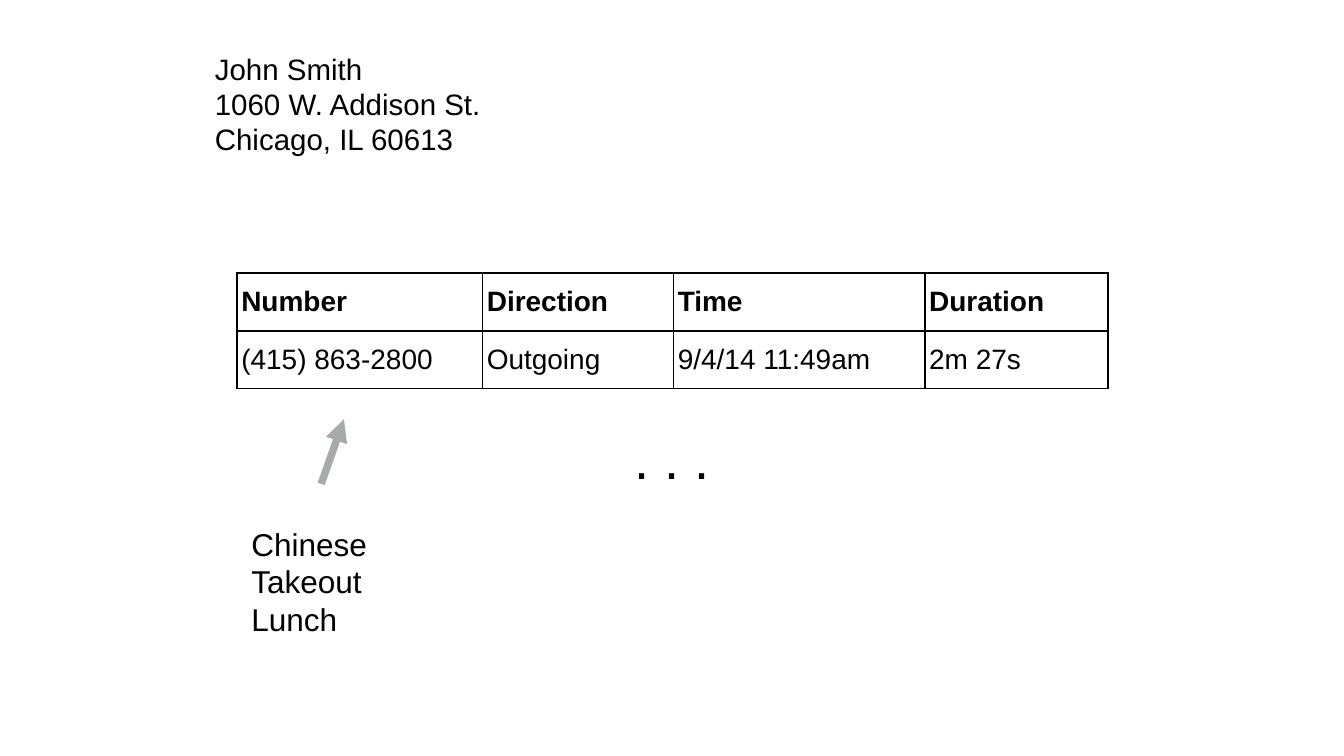
from lxml import etree
from pptx import Presentation
from pptx.dml.color import RGBColor
from pptx.enum.shapes import MSO_CONNECTOR
from pptx.enum.text import MSO_ANCHOR, MSO_AUTO_SIZE
from pptx.oxml.ns import qn
from pptx.util import Cm, Pt

STRAIGHT = MSO_CONNECTOR.STRAIGHT
MIDDLE = MSO_ANCHOR.MIDDLE
GROW = MSO_AUTO_SIZE.SHAPE_TO_FIT_TEXT
COLORS = {"text": "000000", "border": "000000", "paper": "FFFFFF", "arrow": "A6AAA9"}
FONT = "Arial"
MARGINS = ("margin_left", "margin_top", "margin_right", "margin_bottom")


def color(name):
    return RGBColor.from_string(COLORS[name])


def apply(target, values):
    for key, value in values.items():
        setattr(target, key, value)


def style_font(font, size, bold=False):
    apply(font, {"name": FONT, "size": Pt(size), "bold": bold})
    font.color.rgb = color("text")


def add_lines(slide, box, lines, size):
    frame = slide.shapes.add_textbox(*map(Cm, box)).text_frame
    apply(frame, {"word_wrap": False, "auto_size": GROW, "vertical_anchor": MIDDLE})
    apply(frame, dict.fromkeys(MARGINS, Cm(0.1)))
    frame.text = "\n".join(lines)
    for paragraph in frame.paragraphs:
        style_font(paragraph.font, size)


def add_borders(cell):
    properties = cell._tc.get_or_add_tcPr()
    for position, side in enumerate(("lnL", "lnR", "lnT", "lnB")):
        border = etree.Element(qn(f"a:{side}"), w=str(Pt(1)))
        fill = etree.SubElement(border, qn("a:solidFill"))
        etree.SubElement(fill, qn("a:srgbClr"), val=COLORS["border"])
        properties.insert(position, border)


def add_call_log(slide, box, column_widths, rows):
    log = slide.shapes.add_table(len(rows), len(rows[0]), *map(Cm, box)).table
    apply(log, {"first_row": False, "horz_banding": False})
    for column, width in zip(log.columns, column_widths):
        column.width = Cm(width)
    for row_index, row in enumerate(rows):
        log.rows[row_index].height = Cm(box[3] / len(rows))
        for column_index, entry in enumerate(row):
            cell = log.cell(row_index, column_index)
            apply(cell, {"text": entry, "vertical_anchor": MIDDLE})
            apply(cell, dict.fromkeys(MARGINS, Cm(0.08)))
            cell.fill.solid()
            cell.fill.fore_color.rgb = color("paper")
            add_borders(cell)
            style_font(cell.text_frame.paragraphs[0].font, 15, row_index == 0)


def add_arrow(slide, box):
    left, top, width, height = box
    arrow = slide.shapes.add_connector(
        STRAIGHT, Cm(left), Cm(top + height), Cm(left + width), Cm(top))
    arrow.line.width = Pt(4)
    arrow.line.color.rgb = color("arrow")
    etree.SubElement(arrow.line._get_or_add_ln(), qn("a:tailEnd"), type="triangle")
    etree.SubElement(arrow._element.spPr, qn("a:effectLst"))


def main():
    deck = Presentation()
    apply(deck, {"slide_width": Cm(25.4), "slide_height": Cm(14.28)})
    slide = deck.slides.add_slide(deck.slide_layouts[6])

    add_call_log(slide, (4.48, 5.16, 16.46, 2.18), (4.64, 3.61, 4.75, 3.46), (
        ("Number", "Direction", "Time", "Duration"),
        ("(415) 863-2800", "Outgoing", "9/4/14 11:49am", "2m 27s"),
    ))
    add_lines(slide, (11.89, 7.92, 1.63, 1.45), (". . .",), 29)
    add_lines(slide, (4.65, 9.8, 2.41, 2.36), ("Chinese", "Takeout", "Lunch"), 16.9)
    add_arrow(slide, (6.07, 7.92, 0.43, 1.22))
    add_lines(slide, (3.96, 0.84, 5.26, 2.24),
              ("John Smith", "1060 W. Addison St.", "Chicago, IL 60613"), 15.8)

    deck.save("out.pptx")


if __name__ == "__main__":
    main()
